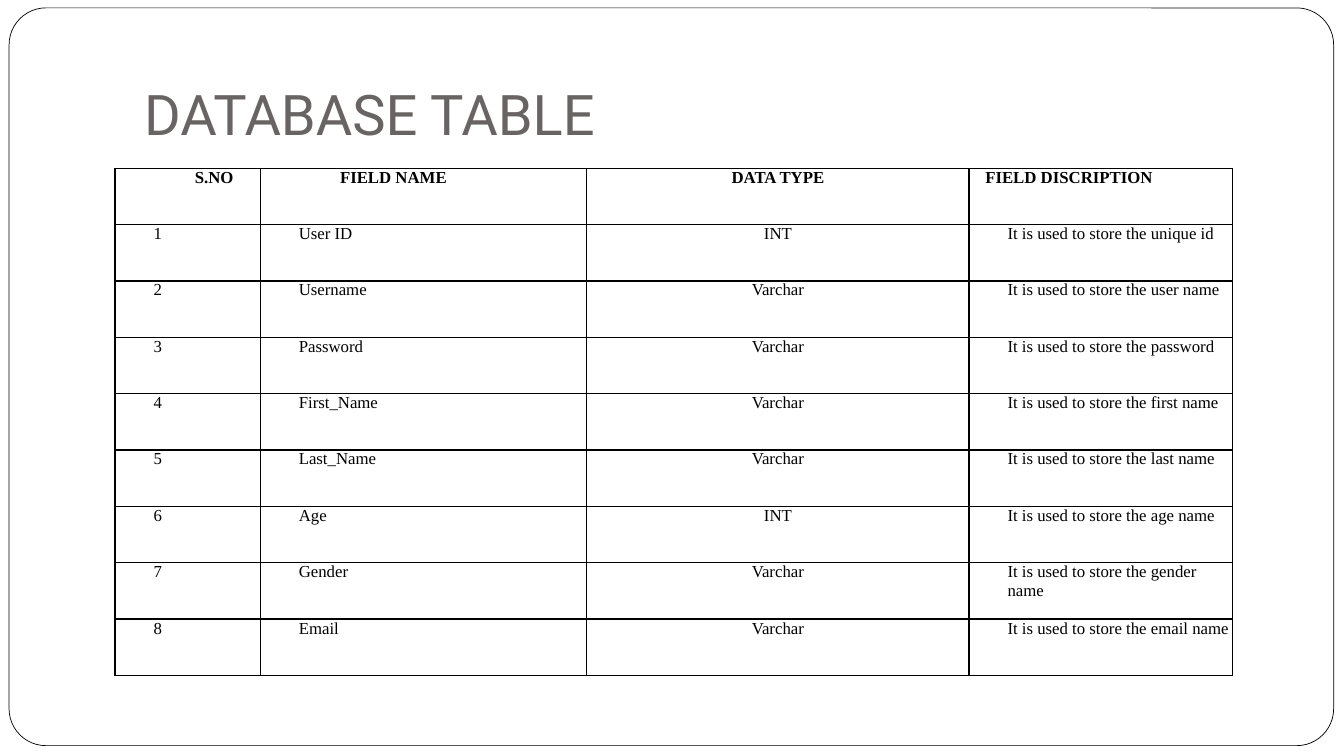
"""Build the database table slide."""
from pptx import Presentation, oxml, util as u
from pptx.dml.color import RGBColor
from pptx.enum import shapes, text
from pptx.oxml import ns

TITLE = "DATABASE TABLE"
HEADER = ("S.NO", "FIELD NAME", "DATA TYPE", "FIELD DISCRIPTION")
FIELDS = [
    ("User ID", "INT", "unique id"),
    ("Username", "Varchar", "user name"),
    ("Password", "Varchar", "password"),
    ("First_Name", "Varchar", "first name"),
    ("Last_Name", "Varchar", "last name"),
    ("Age", "INT", "age name"),
    ("Gender", "Varchar", "gender name"),
    ("Email", "Varchar", "email name"),
]
COLUMN_WIDTHS = (3.66, 8.23, 9.63, 6.65)
HEADER_INDENTS = (2.01, 2.01, 0.33, 0.41)
FIELD_INDENTS = (0.97, 0.97, 0.33, 0.97)
TYPE_COLUMN = 2
ROW_HEIGHT = 1.42

BLACK = RGBColor(0x00, 0x00, 0x00)
WHITE = RGBColor(0xFF, 0xFF, 0xFF)
GREY = RGBColor(0x69, 0x64, 0x64)


def add_run(para, words, font, size, color, bold=False):
    """Add one formatted run to a paragraph."""
    span = para.add_run()
    span.text = words
    span.font.name = font
    span.font.size = u.Pt(size)
    span.font.bold = bold
    span.font.color.rgb = color


def add_borders(cell):
    """Draw a thin black line on each side of a cell."""
    properties = cell._tc.get_or_add_tcPr()
    for position, side in enumerate("LRTB"):
        properties.insert(position, oxml.parse_xml(
            f'<a:ln{side} {ns.nsdecls("a")} w="{u.Pt(1)}"><a:solidFill>'
            f'<a:srgbClr val="{BLACK}"/></a:solidFill></a:ln{side}>'))


def fill_cell(cell, words, indent, centered, bold):
    """Write and format one table cell."""
    cell.margin_left = cell.margin_right = cell.margin_top = cell.margin_bottom = 0
    cell.fill.background()
    add_borders(cell)
    para = cell.text_frame.paragraphs[0]
    para.space_before = u.Pt(3.3)
    properties = para._p.get_or_add_pPr()
    properties.set("marL", str(u.Cm(indent)))
    properties.set("indent", "0")
    if centered:
        properties.set("marR", str(u.Cm(indent)))
        para.alignment = text.PP_ALIGN.CENTER
    add_run(para, words, "Times New Roman", 12, BLACK, bold)


def add_title(page):
    """Place the title and the rounded frame behind it."""
    title = page.shapes.title
    title.left, title.top, title.width, title.height = map(u.Cm, (3.38, 0.76, 28.78, 3.18))
    box = title.text_frame
    box.word_wrap = True
    box.vertical_anchor = text.MSO_ANCHOR.BOTTOM
    box.margin_bottom = u.Cm(0.25)
    box.paragraphs[0].alignment = text.PP_ALIGN.LEFT
    add_run(box.paragraphs[0], TITLE, "Roboto", 40, GREY)

    frame = page.shapes.add_shape(
        shapes.MSO_SHAPE.ROUNDED_RECTANGLE, *map(u.Cm, (0.23, 0.2, 33.38, 18.59)))
    frame.adjustments[0] = 0.05
    frame.shadow.inherit = False
    frame.fill.solid()
    frame.fill.fore_color.rgb = WHITE
    frame.line.color.rgb = BLACK
    frame.line.width = u.Pt(0.5)
    title.element.addprevious(frame.element)


def add_field_table(page):
    """Add the table of database fields."""
    rows = [HEADER] + [
        (str(number), name, kind, f"It is used to store the {content}")
        for number, (name, kind, content) in enumerate(FIELDS, 1)]
    table = page.shapes.add_table(
        len(rows), len(HEADER), u.Cm(2.9), u.Cm(4.24),
        u.Cm(sum(COLUMN_WIDTHS)), u.Cm(ROW_HEIGHT * len(rows))).table
    table.first_row = table.horz_banding = False
    for column, width in zip(table.columns, COLUMN_WIDTHS):
        column.width = u.Cm(width)
    for row_index, row in enumerate(rows):
        table.rows[row_index].height = u.Cm(ROW_HEIGHT)
        is_header = row_index == 0
        indents = HEADER_INDENTS if is_header else FIELD_INDENTS
        for column_index, words in enumerate(row):
            fill_cell(table.cell(row_index, column_index), words, indents[column_index],
                      column_index == TYPE_COLUMN, is_header)


def main():
    """Create and save the deck."""
    deck = Presentation()
    deck.slide_width, deck.slide_height = u.Cm(33.87), u.Cm(19.05)
    page = deck.slides.add_slide(deck.slide_layouts[5])
    add_title(page)
    add_field_table(page)
    deck.save("out.pptx")


if __name__ == "__main__":
    main()
